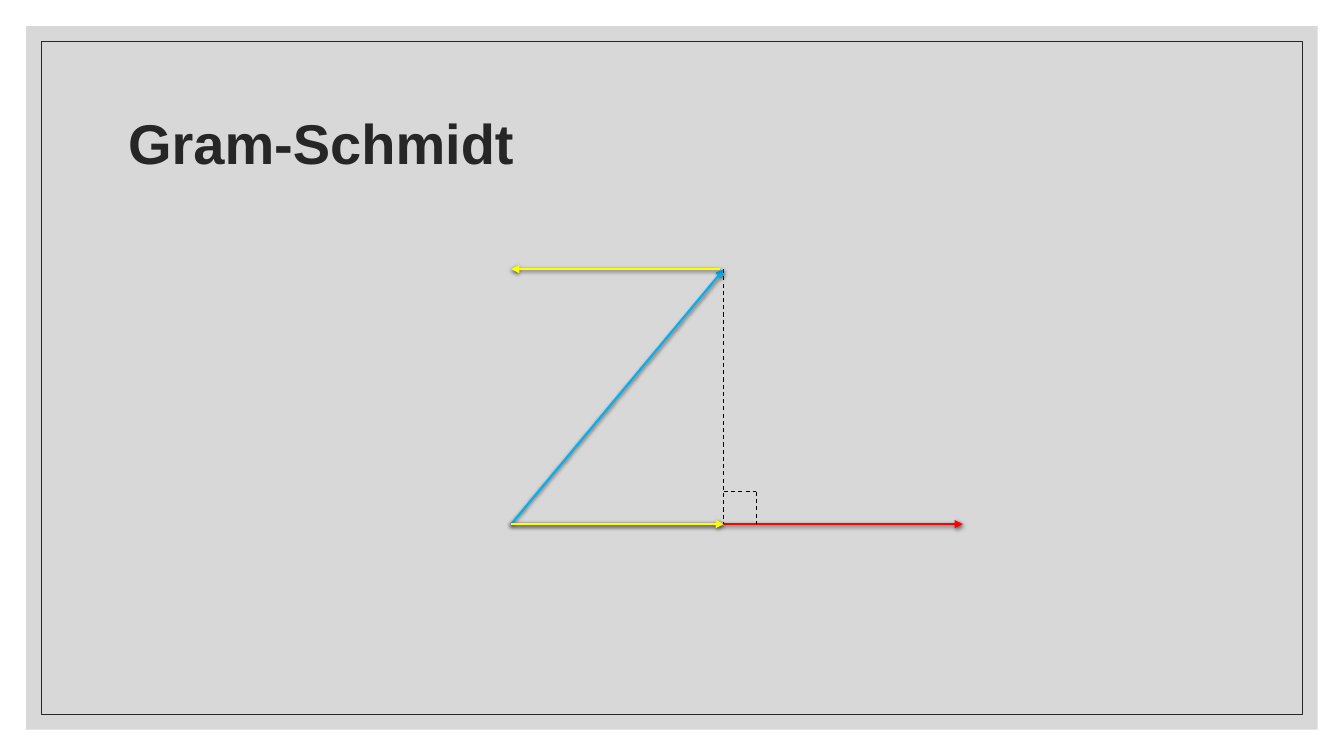
"""Build the Gram-Schmidt projection slide."""
from typing import NamedTuple, Optional

from lxml.etree import SubElement
from pptx import Presentation
from pptx.dml.color import RGBColor
from pptx.enum.dml import MSO_LINE
from pptx.enum.shapes import MSO_CONNECTOR, MSO_SHAPE
from pptx.enum.text import MSO_ANCHOR, MSO_AUTO_SIZE, PP_ALIGN
from pptx.oxml.ns import qn
from pptx.util import Inches, Pt

GRAY = RGBColor(0xBF, 0xBF, 0xBF)
DARK = RGBColor(0x26, 0x26, 0x26)
BLACK = RGBColor(0, 0, 0)
RED = RGBColor(0xFF, 0, 0)
BLUE = RGBColor(0, 0xB0, 0xF0)
YELLOW = RGBColor(0xFF, 0xFF, 0)

WIDTH, HEIGHT = 13.33, 7.5
LEFT, FOOT, TIP = 5.07, 7.18, 9.55
TOP, BASE = 2.67, 5.2
CORNER = 0.32


class Frame(NamedTuple):
    margin: float
    fill: Optional[RGBColor]
    line: Optional[RGBColor]


class Segment(NamedTuple):
    start: tuple[float, float]
    end: tuple[float, float]
    color: RGBColor
    is_vector: bool = True


FRAMES = [Frame(0.26, GRAY, None), Frame(0.41, None, DARK)]
SEGMENTS = [
    Segment((LEFT, BASE), (TIP, BASE), RED),
    Segment((LEFT, BASE), (FOOT, TOP), BLUE),
    Segment((FOOT, TOP), (FOOT, BASE), BLACK, False),
    Segment((FOOT, BASE - CORNER), (FOOT + CORNER, BASE - CORNER), BLACK, False),
    Segment((FOOT + CORNER, BASE - CORNER), (FOOT + CORNER, BASE), BLACK, False),
    Segment((LEFT, BASE), (FOOT, BASE), YELLOW),
    Segment((7.14, TOP), (LEFT, TOP), YELLOW),
]


def draw_frame(s, frame: Frame) -> None:
    m = frame.margin
    sp = s.shapes.add_shape(MSO_SHAPE.RECTANGLE, Inches(m), Inches(m),
                            Inches(WIDTH - 2 * m), Inches(HEIGHT - 2 * m))
    sp.shadow.inherit = False
    if frame.fill is None:
        sp.fill.background()
    else:
        sp.fill.solid()
        sp.fill.fore_color.rgb = frame.fill
        color = sp.element.spPr.find(f"{qn('a:solidFill')}/{qn('a:srgbClr')}")
        SubElement(color, qn("a:alpha"), val="60000")
    if frame.line is None:
        sp.line.fill.background()
    else:
        sp.line.color.rgb = frame.line
        sp.line.width = Pt(0.5)


def draw_title(s, text: str) -> None:
    sp = s.shapes.title
    s.shapes.element.append(sp.element)
    sp.left, sp.top = Inches(1.17), Inches(0.7)
    sp.width, sp.height = Inches(11), Inches(1.5)
    tf = sp.text_frame
    tf.word_wrap = True
    tf.auto_size = MSO_AUTO_SIZE.NONE
    tf.vertical_anchor = MSO_ANCHOR.MIDDLE
    p = tf.paragraphs[0]
    p.alignment = PP_ALIGN.LEFT
    p.line_spacing = 0.9
    r = p.add_run()
    r.text = text
    r.font.name = "Arial"
    r.font.size = Pt(40)
    r.font.bold = True
    r.font.color.rgb = DARK


def draw_segment(s, segment: Segment) -> None:
    ends = [Inches(v) for v in segment.start + segment.end]
    sp = s.shapes.add_connector(MSO_CONNECTOR.STRAIGHT, *ends)
    sp.line.color.rgb = segment.color
    effects = SubElement(sp.element.spPr, qn("a:effectLst"))
    if segment.is_vector:
        sp.line.width = Pt(1.5)
        SubElement(sp.line._get_or_add_ln(), qn("a:tailEnd"), type="triangle")
        shadow = SubElement(effects, qn("a:outerShdw"), blurRad=str(Pt(3)),
                            dist=str(Pt(1)), dir="5400000", rotWithShape="0")
        color = SubElement(shadow, qn("a:srgbClr"), val=str(BLACK))
        SubElement(color, qn("a:alpha"), val="63000")
    else:
        sp.line.width = Pt(0.75)
        sp.line.dash_style = MSO_LINE.DASH


def main() -> None:
    prs = Presentation()
    prs.slide_width, prs.slide_height = Inches(WIDTH), Inches(HEIGHT)
    s = prs.slides.add_slide(prs.slide_layouts[5])
    for frame in FRAMES:
        draw_frame(s, frame)
    draw_title(s, "Gram-Schmidt")
    for segment in SEGMENTS:
        draw_segment(s, segment)
    prs.save("out.pptx")


if __name__ == "__main__":
    main()
